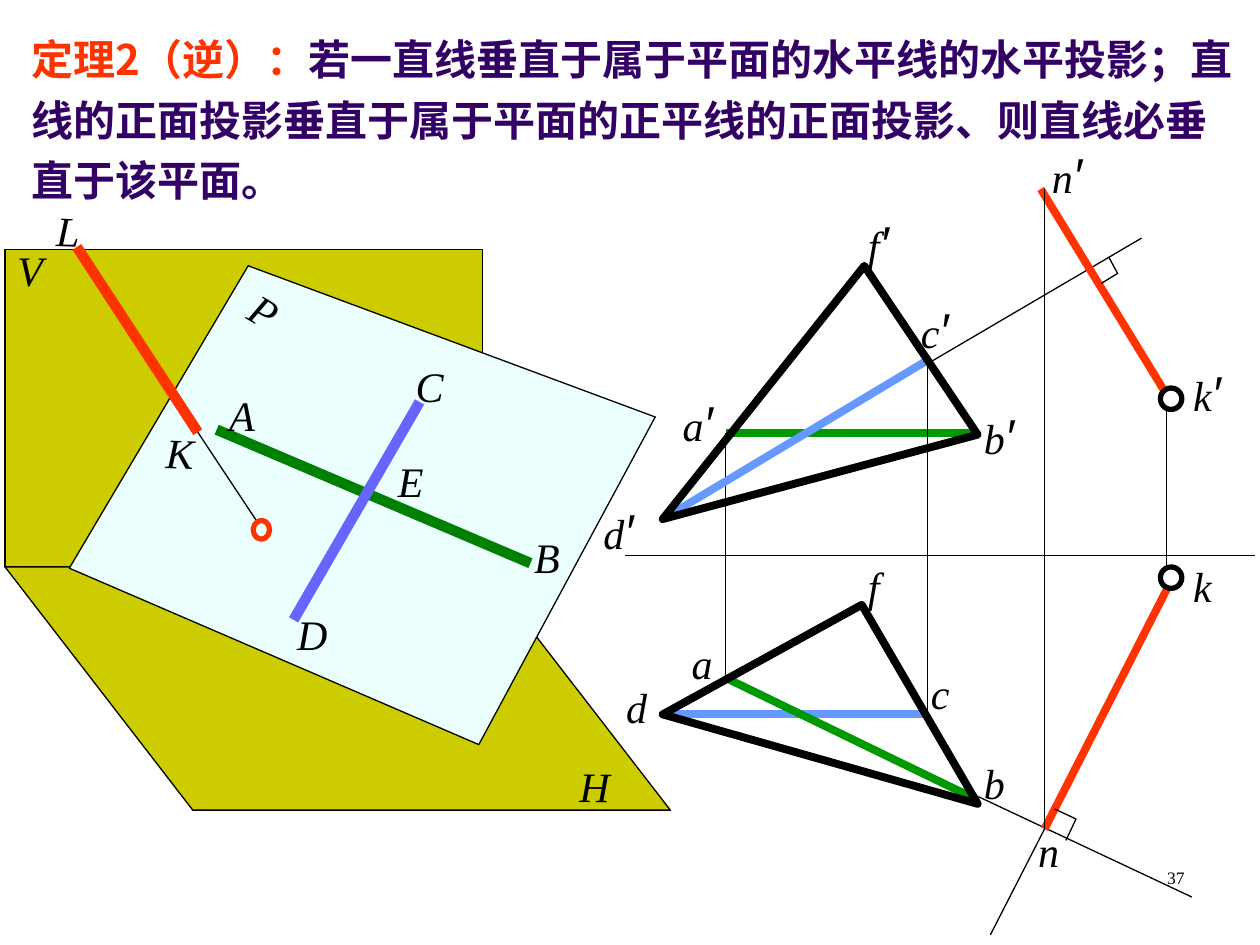
from lxml import etree
from pptx import Presentation
from pptx import util as u
from pptx.dml.color import RGBColor
from pptx.enum import shapes, text
from pptx.oxml.ns import qn

PX = 9144  # EMU per px, 100 px to the inch
THIN, BAR, THICK = 0.75, 4.5, 6
SERIF, SANS, HAN = "Times New Roman", "Arial", "Noto Sans CJK SC"
COLORS = {
    "ink": "000000", "paper": "FFFFFF", "red": "FF3300", "title": "330066",
    "green": "009900", "blue": "6699FF", "dark_green": "008000",
    "violet": "6666FF", "olive": "CCCC00", "pale": "EBFFFF",
}


def rgb(name):
    return RGBColor.from_string(COLORS[name])


class Region:
    """Draws parts at px positions measured from the region's top left."""

    def __init__(self, canvas, box):
        self.canvas, self.left, self.top = canvas, box[0], box[1]

    def at(self, point):
        return (self.left + point[0]) * PX, (self.top + point[1]) * PX

    def line(self, start, end, color="ink", width=THIN):
        segment = self.canvas.add_connector(
            shapes.MSO_CONNECTOR.STRAIGHT, *self.at(start), *self.at(end))
        segment.line.color.rgb = rgb(color)
        segment.line.width = u.Pt(width)
        properties = segment._element.spPr
        etree.SubElement(properties, qn("a:effectLst"))

    def finish(self, part, fill, color, width):
        part.shadow.inherit = False
        if fill:
            part.fill.solid()
            part.fill.fore_color.rgb = rgb(fill)
        else:
            part.fill.background()
        part.line.color.rgb = rgb(color)
        part.line.width = u.Pt(width)

    def outline(self, points, fill=None, width=THIN, close=True):
        corners = [self.at(point) for point in points]
        builder = self.canvas.build_freeform(*corners[0], scale=1.0)
        builder.add_line_segments(corners[1:], close=close)
        part = builder.convert_to_shape()
        self.finish(part, fill, "ink", width)
        if width > THIN:
            etree.SubElement(part.line._get_or_add_ln(), qn("a:round"))

    def preset(self, kind, box, fill, color="ink", width=THIN, turn=0):
        part = self.canvas.add_shape(
            kind, *self.at(box[:2]), box[2] * PX, box[3] * PX)
        self.finish(part, fill, color, width)
        part.rotation = turn

    def textbox(self, box, turn=0):
        holder = self.canvas.add_textbox(
            *self.at(box[:2]), box[2] * PX, box[3] * PX)
        holder.rotation = turn
        holder.text_frame.word_wrap = True
        return holder.text_frame

    def label(self, letter, point, width=58, turn=0):
        primed = letter.endswith("′")
        frame = self.textbox((*point, width, 57 if primed else 50), turn)
        frame.auto_size = text.MSO_AUTO_SIZE.SHAPE_TO_FIT_TEXT
        add_run(frame.paragraphs[0], letter[0], 24, SERIF, italic=True)
        if primed:
            add_run(frame.paragraphs[0], "′", 28, SANS, italic=True)


def add_run(paragraph, words, size, face, color="ink", bold=False, italic=False):
    run = paragraph.add_run()
    run.text = words
    run.font.size = u.Pt(size)
    run.font.name = face
    run.font.bold, run.font.italic = bold, italic
    run.font.color.rgb = rgb(color)
    if face == HAN:
        etree.SubElement(run.font._element, qn("a:ea"), typeface=face)


def projections(slide, box):
    region = Region(slide.shapes.add_group_shape().shapes, box)
    # Points of the front view (upper) and the top view (lower)
    a_up, b_up, c_up, d_up, f_up = (
        (176, 244), (376, 245), (336, 186), (126, 312), (286, 111))
    a, b, c, d, f = (176, 438), (376, 538), (336, 467), (126, 467), (284, 380)
    n = (429, 558)

    # Projectors, extended lines and the lines lying in the plane
    region.line(a, (546, 612))
    region.line((376, 244), a_up, "green", BAR)
    region.line(d, c, "blue", BAR)
    region.line(a_up, a)
    region.line(a, (376, 535), "green", BAR)
    region.line(d_up, (506, 89))
    region.line(c, c_up)
    region.line(c_up, d_up, "blue", BAR)

    # Perpendicular line in both views
    region.line((527, 215), (426, 50), "red", BAR)
    region.line(n, (531, 358), "red", BAR)
    region.line(n, (386, 642))

    # Axis and plane triangles
    region.line((96, 341), (596, 341))
    region.outline([f_up, d_up, b_up], width=BAR)
    region.outline([f, d, b], width=BAR)
    region.line((526, 215), (526, 360))

    for letter, point in (
            ("a′", (132, 207)), ("n′", (425, 10)), ("f′", (279, 64)),
            ("d′", (69, 292)), ("b′", (371, 217)), ("k′", (537, 183)),
            ("a", (139, 401)), ("c", (329, 425)), ("n", (414, 550)),
            ("k", (537, 340)), ("d", (87, 436)), ("b", (371, 496)),
            ("f", (279, 340))):
        region.label(letter, point)
    region.label("c′", (321, 133), 75)

    # End circles and right-angle marks
    for top in (208, 350):
        region.preset(shapes.MSO_SHAPE.OVAL, (521, top, 17, 17), "paper", width=3)
    region.line(n, (429, 50))
    region.outline([(437, 542), (454, 550), (446, 567)], close=False)
    region.outline([(480, 104), (487, 117), (474, 125)], close=False)


def spatial_view(slide, box):
    region = Region(slide.shapes.add_group_shape().shapes, box)
    # Planes V, H and P
    region.preset(shapes.MSO_SHAPE.RECTANGLE, (4, 98, 379, 252), "olive")
    region.outline([(4, 350), (153, 543), (532, 543), (383, 350)], "olive")
    region.label("V", (4, 89), 69)
    region.outline([(197, 111), (55, 351), (380, 491), (520, 231)], "pale")

    # Lines AB and CD in P, and LK meeting P
    region.line((172, 241), (421, 347), "dark_green", THICK)
    region.line((233, 392), (333, 219), "violet", THICK)
    region.line((61, 96), (157, 243), "red", THICK)
    region.line((157, 243), (208, 320))
    region.preset(shapes.MSO_SHAPE.OVAL, (201, 313, 13, 15), "pale", "red", 3, 2.1)

    for letter, point, turn in (
            ("P", (191, 120), 30.7), ("A", (172, 204), 0),
            ("K", (122, 234), 2.1), ("L", (35, 58), 2.1),
            ("D", (226, 378), 0), ("C", (320, 181), 0),
            ("B", (414, 317), 0), ("E", (306, 257), 0)):
        region.label(letter, point, 34, turn)
    region.label("H", (450, 499), 76, 0.6)


def theorem(slide, box):
    frame = Region(slide.shapes, box).textbox((0, 0, *box[2:]))
    frame.auto_size = text.MSO_AUTO_SIZE.SHAPE_TO_FIT_TEXT
    statement = frame.paragraphs[0]
    statement.line_spacing = 1.2
    add_run(statement, "定理2（逆）：", 24, HAN, "red", bold=True)
    add_run(statement, "若一直线垂直于属于平面的水平线的水平投影；"
            "直线的正面投影垂直于属于平面的正平线的正面投影、"
            "则直线必垂直于该平面。", 24, HAN, "title", bold=True)


def page_number(slide, box):
    number = Region(slide.shapes, box).textbox((0, 0, *box[2:])).paragraphs[0]
    number.alignment = text.PP_ALIGN.RIGHT
    add_run(number, "37", 10, SERIF)


def main():
    deck = Presentation()
    deck.slide_width, deck.slide_height = 1000 * PX, 750 * PX
    slide = deck.slides.add_slide(deck.slide_layouts[6])
    projections(slide, (400, 100, 600, 650))
    spatial_view(slide, (0, 100, 540, 550))
    theorem(slide, (15, 14, 973, 154))
    page_number(slide, (717, 683, 233, 50))
    deck.save("out.pptx")


if __name__ == "__main__":
    main()
